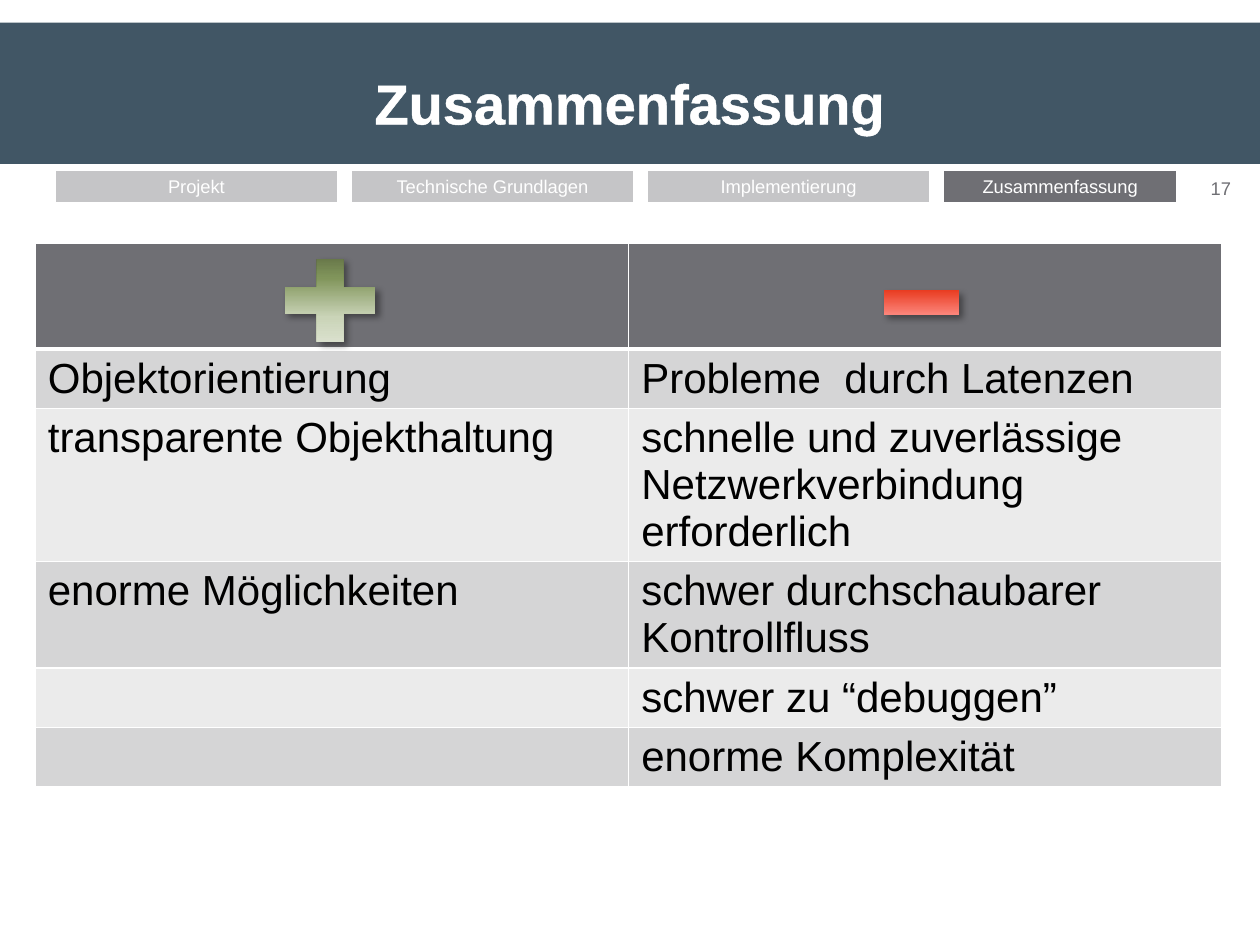
from dataclasses import dataclass

from lxml import etree
from pptx import Presentation
from pptx import util as u
from pptx.dml.color import RGBColor
from pptx.enum import shapes, text
from pptx.oxml import parse_xml
from pptx.oxml.ns import nsdecls, qn

SLIDE_W, SLIDE_H = 10, 7.5
FONT = "Arial"
WHITE = RGBColor(0xFF, 0xFF, 0xFF)
BLACK = RGBColor(0, 0, 0)
BLUE = RGBColor(0x41, 0x56, 0x65)
GREY = RGBColor(0x6F, 0x6F, 0x74)
BAND_DARK = RGBColor(0xD5, 0xD5, 0xD6)
BAND_LIGHT = RGBColor(0xEB, 0xEB, 0xEB)
STOPS = (0, 30, 65, 90, 100)
GREENS = ("56633D", "81955B", "CAD4B8", "DCE2D0", "DCE2D0")
REDS = ("842102", "E32505", "FE9088", "FEB7B0", "FEB7B0")

TAB_TOP, TAB_H, TAB_LEFT, TAB_PITCH = 1.34, 0.28, 0.43, 2.35
TABLE_LEFT, TABLE_TOP, COL_W = 0.28, 1.93, 4.71
ROW_H = (0.84, 0.47, 1.21, 0.84, 0.47, 0.47)
ROWS = (
    ("", ""),
    ("Objektorientierung", "Probleme  durch Latenzen"),
    ("transparente Objekthaltung",
     "schnelle und zuverlässige Netzwerkverbindung erforderlich"),
    ("enorme Möglichkeiten", "schwer durchschaubarer Kontrollfluss"),
    ("", "schwer zu “debuggen”"),
    ("", "enorme Komplexität"),
)


@dataclass
class Box:
    x: float
    y: float
    w: float
    h: float

    def emu(self) -> tuple:
        return tuple(u.Inches(v) for v in (self.x, self.y, self.w, self.h))


@dataclass
class Tab:
    label: str
    column: int
    width: float = 2.26


@dataclass
class Sign:
    kind: shapes.MSO_SHAPE
    box: Box
    colors: tuple


TABS = (
    Tab("Implementierung", 2),
    Tab("Technische Grundlagen", 1),
    Tab("Projekt", 0),
    Tab("Zusammenfassung", 3, 1.87),
)
SIGNS = (
    Sign(shapes.MSO_SHAPE.MATH_PLUS, Box(2.13, 1.94, 0.98, 0.89), GREENS),
    Sign(shapes.MSO_SHAPE.MATH_MINUS, Box(6.91, 2, 0.81, 0.81), REDS),
)


def write(tf, words: str, *, size: float, color: RGBColor, bold=False,
          align=text.PP_ALIGN.LEFT):
    p = tf.paragraphs[0]
    p.alignment = align
    r = p.add_run()
    r.text = words
    r.font.name, r.font.size, r.font.bold = FONT, u.Pt(size), bold
    r.font.color.rgb = color
    return r


def add_box(s, box: Box, fill=None, line=None, kind=shapes.MSO_SHAPE.RECTANGLE):
    sp = s.shapes.add_shape(kind, *box.emu())
    sp.shadow.inherit = False
    if fill is not None:
        sp.fill.solid()
        sp.fill.fore_color.rgb = fill
    if line is None:
        sp.line.fill.background()
    else:
        sp.line.color.rgb = line
        sp.line.width = u.Pt(2)
    return sp


def add_label(s, box: Box, words: str, fill: RGBColor, color: RGBColor) -> None:
    sp = add_box(s, box, fill, WHITE)
    tf = sp.text_frame
    tf.vertical_anchor = text.MSO_ANCHOR.MIDDLE
    write(tf, words, size=10.5, color=color, align=text.PP_ALIGN.CENTER)


def add_sign(s, sign: Sign) -> None:
    sp = add_box(s, sign.box, kind=sign.kind)
    stops = "".join(f'<a:gs pos="{pos * 1000}"><a:srgbClr val="{c}"/></a:gs>'
                    for pos, c in zip(STOPS, sign.colors))
    pr = sp.element.spPr
    pr.find(qn("a:prstGeom")).addnext(parse_xml(
        f'<a:gradFill {nsdecls("a")} rotWithShape="1"><a:gsLst>{stops}</a:gsLst>'
        '<a:lin ang="5400000" scaled="0"/></a:gradFill>'))
    pr.find(qn("a:effectLst")).append(parse_xml(
        f'<a:outerShdw {nsdecls("a")} blurRad="{u.Pt(4)}" dist="{u.Pt(3)}" '
        'dir="2700000" rotWithShape="0"><a:srgbClr val="000000">'
        '<a:alpha val="40000"/></a:srgbClr></a:outerShdw>'))


def white_line(tag: str, width: float):
    return parse_xml(
        f'<a:{tag} {nsdecls("a")} w="{u.Pt(width)}"><a:solidFill>'
        f'<a:srgbClr val="{WHITE}"/></a:solidFill></a:{tag}>')


def set_borders(cell, top: float, bottom: float) -> None:
    pr = cell._tc.get_or_add_tcPr()
    widths = {"lnL": 1, "lnR": 1, "lnT": top, "lnB": bottom}
    for i, (tag, width) in enumerate(widths.items()):
        pr.insert(i, white_line(tag, width))


def add_comparison(s) -> None:
    box = Box(TABLE_LEFT, TABLE_TOP, 2 * COL_W, sum(ROW_H))
    table = s.shapes.add_table(len(ROWS), 2, *box.emu()).table
    for i, (words, height) in enumerate(zip(ROWS, ROW_H)):
        table.rows[i].height = u.Inches(height)
        fill = GREY if i == 0 else BAND_DARK if i % 2 else BAND_LIGHT
        for j, entry in enumerate(words):
            cell = table.cell(i, j)
            cell.fill.solid()
            cell.fill.fore_color.rgb = fill
            set_borders(cell, top=3 if i == 1 else 1, bottom=3 if i == 0 else 1)
            if entry:
                write(cell.text_frame, entry, size=24, color=BLACK)


def add_title(s, words: str) -> None:
    sp = s.shapes.title
    sp.left, sp.top, sp.width, sp.height = Box(0.5, 0.2, 9, 1.22).emu()
    tf = sp.text_frame
    tf.auto_size = text.MSO_AUTO_SIZE.NONE
    tf.vertical_anchor = text.MSO_ANCHOR.MIDDLE
    r = write(tf, words, size=32, color=WHITE, bold=True,
              align=text.PP_ALIGN.CENTER)
    r.font._element.insert(0, white_line("ln", 1.1))


def main() -> None:
    prs = Presentation()
    prs.slide_width, prs.slide_height = u.Inches(SLIDE_W), u.Inches(SLIDE_H)
    s = prs.slides.add_slide(prs.slide_layouts[5])

    # Header band and page number
    add_box(s, Box(0, 0.18, SLIDE_W, 1.12), BLUE)
    add_label(s, Box(9.41, 1.35, 0.56, TAB_H), "17", WHITE, GREY)

    # Section tabs, with a veil over the inactive ones
    for tab in TABS:
        x = TAB_LEFT + tab.column * TAB_PITCH
        add_label(s, Box(x, TAB_TOP, tab.width, TAB_H), tab.label, GREY, WHITE)
    veil = add_box(s, Box(0.44, TAB_TOP, 6.97, TAB_H), WHITE)
    color = veil.element.spPr.find(qn("a:solidFill"))[0]
    etree.SubElement(color, qn("a:alpha")).set("val", "60000")

    # Title, brought in front of the band
    add_title(s, "Zusammenfassung")
    s.shapes._spTree.append(s.shapes.title.element)

    # Pros and cons
    add_comparison(s)
    for sign in SIGNS:
        add_sign(s, sign)

    prs.save("out.pptx")


if __name__ == "__main__":
    main()
